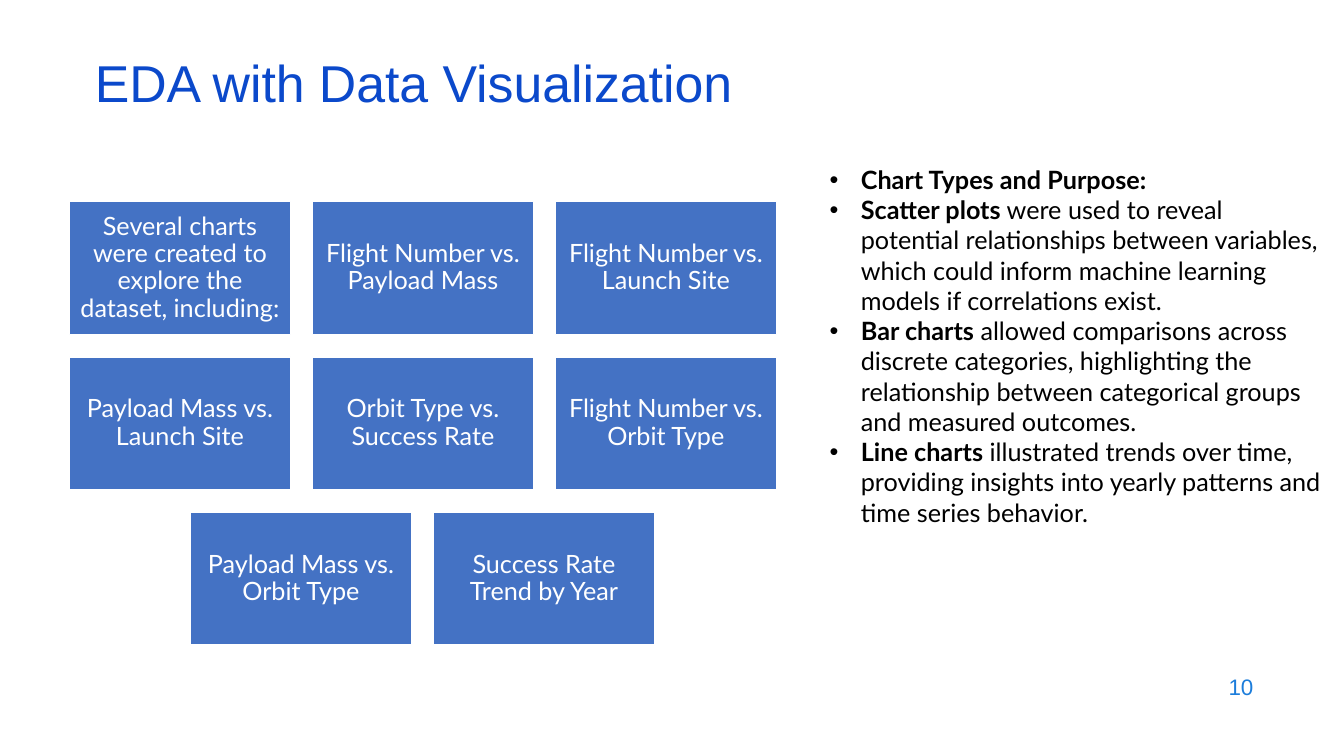
"""Build the slide on exploratory data analysis with charts."""
from lxml.etree import SubElement
from pptx import Presentation
from pptx.dml.color import RGBColor
from pptx.enum.shapes import MSO_SHAPE
from pptx.enum.text import MSO_ANCHOR, MSO_AUTO_SIZE, PP_ALIGN
from pptx.oxml.ns import qn
from pptx.util import Pt

PX = 9144
CARD_WIDTH, CARD_HEIGHT, GAP = 219, 132, 22
GRID_CENTER, GRID_TOP = 419, 200
BULLET_INDENT = 31


def color(hex_code):
    return RGBColor.from_string(hex_code)


def add_run(paragraph, text, font_name, size, hex_code, bold=False):
    run = paragraph.add_run()
    run.text = text
    run.font.name = font_name
    run.font.size = Pt(size)
    run.font.bold = bold
    run.font.color.rgb = color(hex_code)


chart_rows = [
    ["Several charts were created to explore the dataset, including:",
     "Flight Number vs. Payload Mass", "Flight Number vs. Launch Site"],
    ["Payload Mass vs. Launch Site", "Orbit Type vs. Success Rate",
     "Flight Number vs. Orbit Type"],
    ["Payload Mass vs. Orbit Type", "Success Rate Trend by Year"],
]
purposes = [
    ("Chart Types and Purpose:", ""),
    ("Scatter plots", " were used to reveal potential relationships between variables, "
     "which could inform machine learning models if correlations exist."),
    ("Bar charts", " allowed comparisons across discrete categories, highlighting the "
     "relationship between categorical groups and measured outcomes."),
    ("Line charts", " illustrated trends over time, providing insights into yearly "
     "patterns and time series behavior."),
]

prs = Presentation()
prs.slide_width, prs.slide_height = 1333 * PX, 750 * PX
slide = prs.slides.add_slide(prs.slide_layouts[5])

title = slide.shapes.title
title.left, title.top, title.width, title.height = 84 * PX, 59 * PX, 1150 * PX, 60 * PX
title.text_frame.auto_size = MSO_AUTO_SIZE.NONE
title.text_frame.vertical_anchor = MSO_ANCHOR.MIDDLE
heading = title.text_frame.paragraphs[0]
heading.alignment = PP_ALIGN.LEFT
heading.line_spacing = 0.7
add_run(heading, "EDA with Data Visualization", "Arial", 37, "0B49CB")

for row, labels in enumerate(chart_rows):
    row_width = len(labels) * (CARD_WIDTH + GAP) - GAP
    row_left = GRID_CENTER - row_width // 2
    top = GRID_TOP + row * (CARD_HEIGHT + GAP)
    for column, label in enumerate(labels):
        left = row_left + column * (CARD_WIDTH + GAP)
        card = slide.shapes.add_shape(MSO_SHAPE.RECTANGLE, left * PX, top * PX,
                                      CARD_WIDTH * PX, CARD_HEIGHT * PX)
        card.shadow.inherit = False
        card.fill.solid()
        card.fill.fore_color.rgb = color("4472C4")
        card.line.color.rgb = color("FFFFFF")
        card.line.width = Pt(1)
        frame = card.text_frame
        frame.word_wrap = True
        frame.vertical_anchor = MSO_ANCHOR.MIDDLE
        frame.margin_left = frame.margin_right = 7 * PX
        frame.margin_top = frame.margin_bottom = 7 * PX
        caption = frame.paragraphs[0]
        caption.alignment = PP_ALIGN.CENTER
        caption.line_spacing = 0.9
        add_run(caption, label, "Lato", 18, "FFFFFF")

purpose_list = slide.shapes.add_textbox(813 * PX, 158 * PX, 508 * PX, 374 * PX).text_frame
purpose_list.word_wrap = True
for index, (chart_type, purpose) in enumerate(purposes):
    item = purpose_list.add_paragraph() if index else purpose_list.paragraphs[0]
    properties = item._p.get_or_add_pPr()
    properties.set("marL", str(BULLET_INDENT * PX))
    properties.set("indent", str(-BULLET_INDENT * PX))
    SubElement(properties, qn("a:buFont"), typeface="Arial")
    SubElement(properties, qn("a:buChar"), char="•")
    add_run(item, chart_type, "Lato", 18, "000000", bold=True)
    if purpose:
        add_run(item, purpose, "Lato", 18, "000000")

page_frame = slide.shapes.add_textbox(953 * PX, 659 * PX, 300 * PX, 44 * PX).text_frame
page_frame.word_wrap = True
page_frame.vertical_anchor = MSO_ANCHOR.MIDDLE
page_number = page_frame.paragraphs[0]
page_number.alignment = PP_ALIGN.RIGHT
add_run(page_number, "10", "Arial", 16, "1C7DDB")

prs.save("out.pptx")
